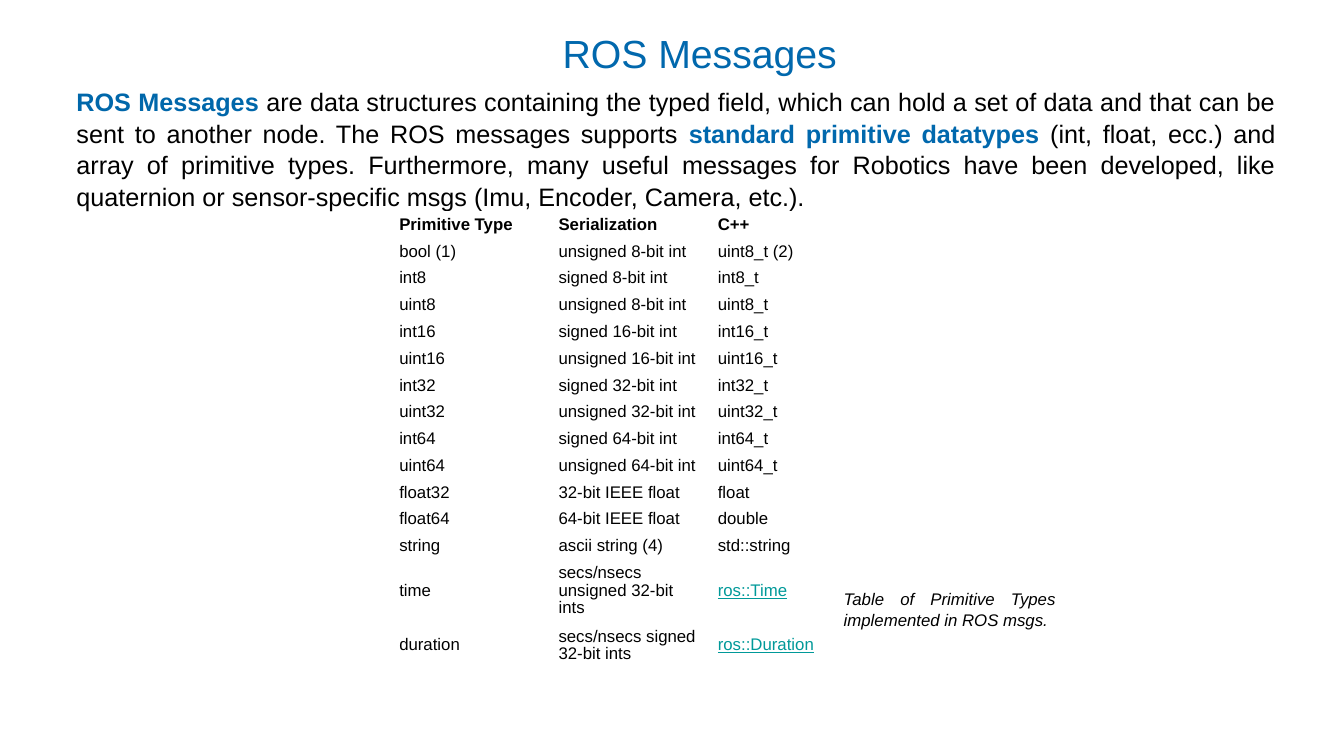
import dataclasses
import typing

import pptx
import pptx.dml.color
import pptx.enum.text
import pptx.util

Align = pptx.enum.text.PP_ALIGN
Anchor = pptx.enum.text.MSO_ANCHOR

WIDTH, HEIGHT = 13.33, 7.5
FONT = "Arial"
COLORS = {"title": "0168AD", "lead": "0067AA", "ink": "000000", "link": "009999", "paper": "FFFFFF"}
TEXT_SPACING, CELL_SPACING = 1.05, 0.93
TABLE_LEFT, TABLE_TOP, TABLE_HEIGHT = 3.89, 2.1, 4.39
COLUMN_WIDTH = 1.58
EXTRA_LINE = 0.2


@dataclasses.dataclass(frozen=True)
class Span:
    """A stretch of text with one look."""
    text: str
    color: str = "ink"
    bold: bool = False


@dataclasses.dataclass(frozen=True)
class Frame:
    """A place on the slide, in inches."""
    left: float
    top: float
    width: float
    height: float

    def emu(self) -> list[int]:
        """Return left, top, width and height as lengths."""
        return [pptx.util.Inches(side) for side in dataclasses.astuple(self)]


@dataclasses.dataclass(frozen=True)
class PrimitiveType:
    """A table row: a type, its serialization and its C++ counterpart."""
    name: str
    serialization: str
    cpp: str
    linked: bool = False  # linked rows also hold two lines of text


INTRO = [
    Span("ROS Messages ", "lead", True),
    Span("are data structures containing the typed field, which can hold a set of data "
         "and that can be sent to another node. The ROS messages supports "),
    Span("standard primitive datatypes ", "title", True),
    Span("(int, float, ecc.) and array of primitive types. Furthermore, many useful messages "
         "for Robotics have been developed, like quaternion or sensor-specific msgs "
         "(Imu, Encoder, Camera, etc.)."),
]
INTEGERS = [
    PrimitiveType(f"{prefix}int{bits}", f"{sign} {bits}-bit int", f"{prefix}int{bits}_t")
    for bits in (8, 16, 32, 64)
    for prefix, sign in (("", "signed"), ("u", "unsigned"))
]
ROWS = [
    PrimitiveType("Primitive Type", "Serialization", "C++"),
    PrimitiveType("bool (1)", "unsigned 8-bit int", "uint8_t\u00a0(2)"),
    *INTEGERS,
    PrimitiveType("float32", "32-bit IEEE float", "float"),
    PrimitiveType("float64", "64-bit IEEE float", "double"),
    PrimitiveType("string", "ascii string (4)", "std::string"),
    PrimitiveType("time", "secs/nsecs unsigned 32-bit ints", "ros::Time", True),
    PrimitiveType("duration", "secs/nsecs signed 32-bit ints", "ros::Duration", True),
]


def rgb(name: str) -> pptx.dml.color.RGBColor:
    """Look up a named colour."""
    return pptx.dml.color.RGBColor.from_string(COLORS[name])


def write(para: typing.Any, spans: list[Span], size: int, spacing: float,
          align: Align = Align.LEFT) -> None:
    """Fill a paragraph with spans of one size."""
    para.alignment = align
    para.line_spacing = spacing
    para.font.name = FONT
    para.font.size = pptx.util.Pt(size)
    for span in spans:
        run = para.add_run()
        run.text = span.text
        run.font.name = FONT
        run.font.size = pptx.util.Pt(size)
        run.font.bold = span.bold
        run.font.color.rgb = rgb(span.color)


def add_title(page: typing.Any, text: str, frame: Frame) -> None:
    """Move and format the title placeholder."""
    title = page.shapes.title
    title.left, title.top, title.width, title.height = frame.emu()
    title.text_frame.word_wrap = True
    title.text_frame.auto_size = pptx.enum.text.MSO_AUTO_SIZE.NONE
    title.text_frame.vertical_anchor = Anchor.TOP
    write(title.text_frame.paragraphs[0], [Span(text, "title")], 28, TEXT_SPACING)


def add_text(page: typing.Any, spans: list[Span], frame: Frame, size: int) -> typing.Any:
    """Add a justified text box and return its paragraph."""
    box = page.shapes.add_textbox(*frame.emu())
    box.text_frame.word_wrap = True
    para = box.text_frame.paragraphs[0]
    write(para, spans, size, TEXT_SPACING, Align.JUSTIFY)
    return para


def fill_cell(cell: typing.Any, span: Span) -> None:
    """Format a table cell and write its text."""
    cell.fill.solid()
    cell.fill.fore_color.rgb = rgb("paper")
    cell.vertical_anchor = Anchor.MIDDLE
    cell.margin_left = cell.margin_right = pptx.util.Inches(0.07)
    cell.margin_top = cell.margin_bottom = pptx.util.Inches(0.03)
    para = cell.text_frame.paragraphs[0]
    write(para, [span], 12, CELL_SPACING)
    para.runs[0].font.underline = span.color == "link"


def add_types_table(page: typing.Any) -> None:
    """Add the table of primitive types."""
    frame = Frame(TABLE_LEFT, TABLE_TOP, 3 * COLUMN_WIDTH, TABLE_HEIGHT)
    table = page.shapes.add_table(len(ROWS), 3, *frame.emu()).table
    table.first_row = table.horz_banding = False
    for column in table.columns:
        column.width = pptx.util.Inches(COLUMN_WIDTH)
    extra = EXTRA_LINE * sum(row.linked for row in ROWS)
    line_height = (TABLE_HEIGHT - extra) / len(ROWS)
    for index, row in enumerate(ROWS):
        table.rows[index].height = pptx.util.Inches(line_height + EXTRA_LINE * row.linked)
        for column, text in enumerate((row.name, row.serialization, row.cpp)):
            color = "link" if row.linked and column == 2 else "ink"
            fill_cell(table.cell(index, column), Span(text, color, index == 0))


def main() -> None:
    """Build and save the slide."""
    deck = pptx.Presentation()
    deck.slide_width = pptx.util.Inches(WIDTH)
    deck.slide_height = pptx.util.Inches(HEIGHT)
    page = deck.slides.add_slide(deck.slide_layouts.get_by_name("Title Only"))
    add_title(page, "ROS Messages", Frame(5.48, 0.22, 3.15, 0.57))
    add_text(page, INTRO, Frame(0.66, 0.79, 12.09, 1.31), 18)
    add_types_table(page)
    caption = add_text(page, [Span("Table of Primitive Types implemented in ROS msgs.")],
                       Frame(8.27, 5.78, 2.3, 0.5), 12)
    caption.font.italic = True
    caption.runs[0].font.italic = True
    deck.save("out.pptx")


main()
